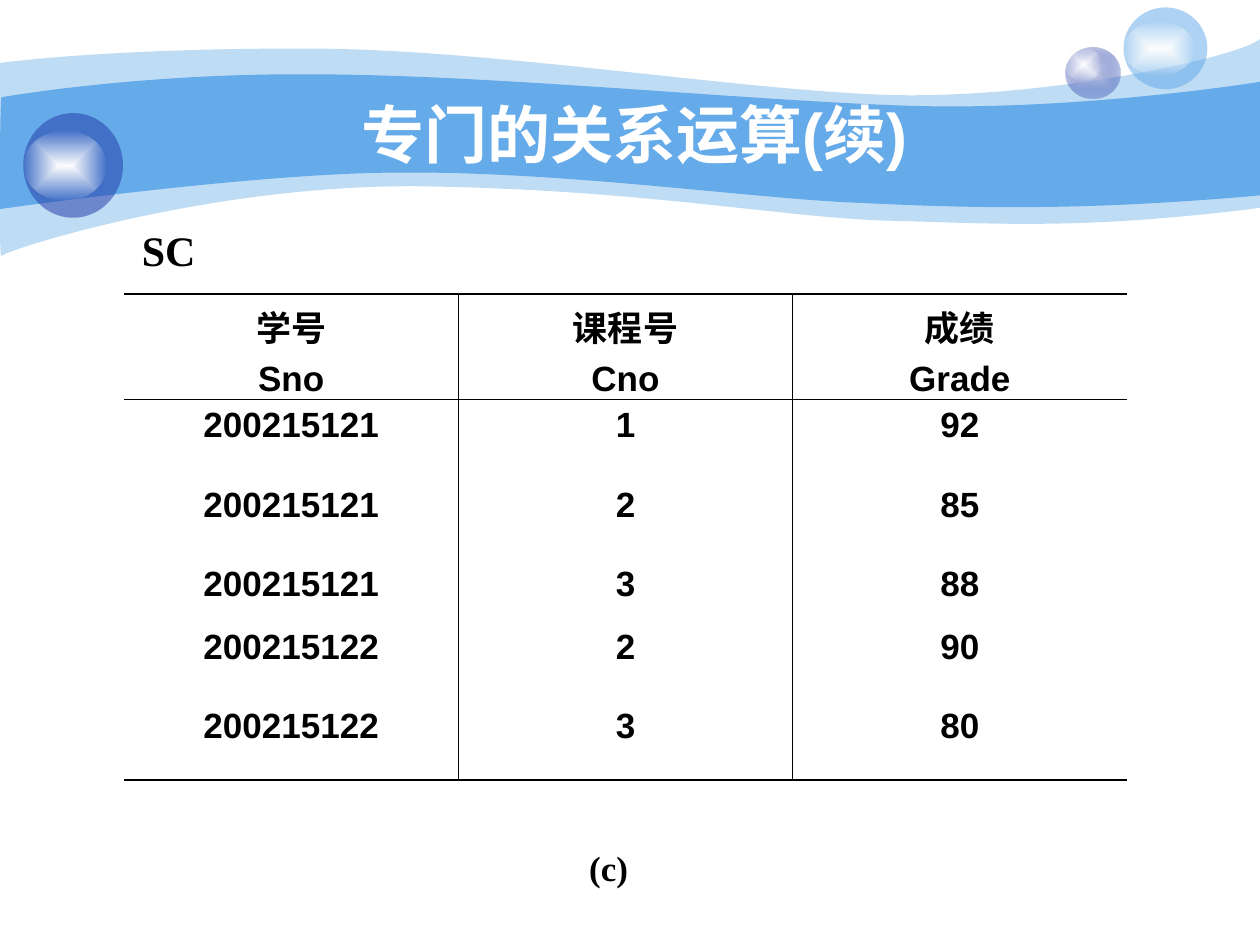
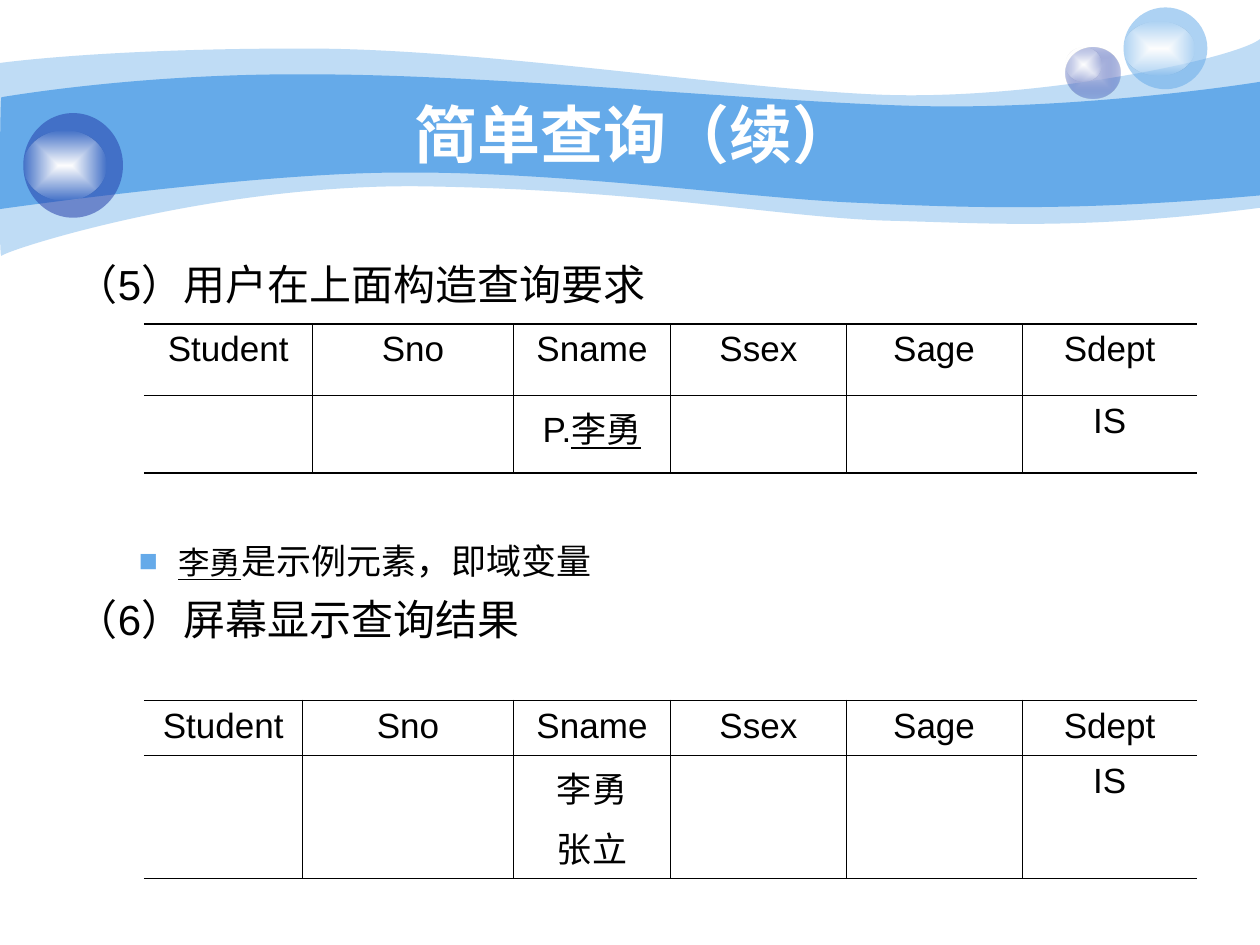
from pptx import Presentation
from pptx.dml.color import RGBColor
from pptx.enum import shapes, text
from pptx.oxml import parse_xml
from pptx.oxml.ns import nsdecls, qn
from pptx.util import Cm, Pt

SKY = RGBColor(0x65, 0xAA, 0xE9)
NAVY = RGBColor(0x23, 0x3D, 0xA9)
LILAC = RGBColor(0xC7, 0xCE, 0xE9)
WHITE = RGBColor(0xFF, 0xFF, 0xFF)
BLACK = RGBColor(0x00, 0x00, 0x00)

# Text between underscores is underlined.
COURSE_TITLE = "专门的关系运算(续)"
COURSE_LABELS = [  # text, size, place, anchor
    ("(c)", 20, (11.1, 16.94, 2.34, 1.96), text.MSO_ANCHOR.TOP),
    ("SC", 24, (1.9, 4.34, 3, 1.4), text.MSO_ANCHOR.MIDDLE),
]
COURSE_TABLE = {
    "place": (2.5, 5.93),
    "columns": [6.74] * 3,
    "rows": [2.13, 1.6, 1.6, 1.27, 1.6, 1.6],
    "cells": [
        ["学号\nSno", "课程号\nCno", "成绩\nGrade"],
        ["200215121", "1", "92"],
        ["200215121", "2", "85"],
        ["200215121", "3", "88"],
        ["200215122", "2", "90"],
        ["200215122", "3", "80"],
    ],
}

QUERY_TITLE = "简单查询（续）"
QUERY_STEPS = [  # text, size, space before, left margin, first-line indent, bullet
    ("（5）用户在上面构造查询要求", 24, 0, 0.97, -0.97, False),
    ("_李勇_是示例元素，即域变量", 20, 132, 2.06, -0.79, True),
    ("（6）屏幕显示查询结果", 24, 7, 0.97, -0.97, False),
]
STUDENT_HEADER = ["Student", "Sno", "Sname", "Ssex", "Sage", "Sdept"]
QUERY_TABLES = [
    {
        "place": (2.9, 6.53),
        "columns": [3.4, 4.05, 3.17, 3.54, 3.54, 3.54],
        "rows": [1.44, 1.56],
        "cells": [STUDENT_HEADER, ["", "", "P._李勇_", "", "", "IS"]],
    },
    {
        "place": (2.9, 14.12),
        "columns": [3.2, 4.25, 3.17, 3.54, 3.54, 3.54],
        "rows": [1.11, 2.48],
        "cells": [STUDENT_HEADER, ["", "", "李勇\n张立", "", "", "IS"]],
    },
]

# Each wave: opacity, start point, then edges of three points (curve) or one (line).
WAVES = [
    (41, (0, 1.27), [
        [(0.61, 1.19), (2.72, 0.97), (6.27, 0.98)],
        [(9.8, 0.99), (14.61, 1.78), (17.75, 1.91)],
        [(20.88, 2.03), (24.89, 1.19), (25.4, 0.79)],
        [(25.4, 4.19)],
        [(21.79, 4.65), (19.99, 4.5), (17.91, 4.45)],
        [(15.8, 4.39), (13.08, 3.84), (8.71, 3.76)],
        [(4.37, 3.66), (0.1, 5.05), (0.03, 5.16)],
        [(-0.03, 5.28), (0, 1.91), (0, 1.27)],
    ]),
    (100, (0.03, 1.96), [
        [(0.05, 1.96), (2.79, 1.47), (6.3, 1.5)],
        [(9.8, 1.5), (15.11, 2.03), (18.24, 2.13)],
        [(21.36, 2.24), (24.79, 1.75), (25.4, 1.65)],
        [(25.4, 3.94)],
        [(21.67, 4.27), (19.43, 4.19), (17.32, 4.09)],
        [(15.21, 4.01), (11.35, 3.45), (8.05, 3.48)],
        [(5.16, 3.48), (-0.05, 4.22), (-0.03, 4.22)],
        [(0, 4.22), (0, 1.96), (0.03, 1.96)],
    ]),
]
SHINE = [(WHITE, 100), (WHITE, 0)]
BUBBLES = [  # place, colours with opacity from centre to rim
    ((21.49, 0.95, 1.1, 1.04), [(LILAC, 100), (NAVY, 31)]),
    ((21.49, 0.95, 0.71, 0.69), SHINE),
    ((22.65, 0.15, 1.69, 1.65), [(SKY, 53)]),
    ((22.65, 0.43, 1.42, 1.09), SHINE),
    ((0.47, 2.28, 2.01, 2.11), [(NAVY, 53)]),
    ((0.47, 2.63, 1.68, 1.42), SHINE),
]
THICK, THIN = 1.08, 0.45


def lengths(values):
    return [Cm(value) for value in values]


def colour_xml(colour, opacity):
    alpha = f'<a:alpha val="{opacity * 1000}"/>' if opacity < 100 else ""
    return f'<a:srgbClr val="{colour}">{alpha}</a:srgbClr>'


def paint(shape, colours):
    """Fill without outline: one colour is solid, two run from centre to rim."""
    shape.shadow.inherit = False
    shape.line.fill.background()
    shape.fill.background()
    if len(colours) == 1:
        xml = f'<a:solidFill {nsdecls("a")}>{colour_xml(*colours[0])}</a:solidFill>'
    else:
        stops = "".join(
            f'<a:gs pos="{position}">{colour_xml(*colour)}</a:gs>'
            for position, colour in zip((0, 100000), colours)
        )
        xml = (
            f'<a:gradFill {nsdecls("a")} rotWithShape="1"><a:gsLst>{stops}</a:gsLst>'
            '<a:path path="rect"><a:fillToRect l="50000" t="50000" r="50000" b="50000"/>'
            "</a:path></a:gradFill>"
        )
    properties = shape.element.spPr
    properties.replace(properties.find(qn("a:noFill")), parse_xml(xml))


def add_wave(slide, opacity, start, edges):
    """Lay every point as a line, then join each three of a curve into one Bézier."""
    builder = slide.shapes.build_freeform(*lengths(start))
    builder.add_line_segments([lengths(point) for edge in edges for point in edge])
    shape = builder.convert_to_shape()
    lines = iter(shape.element.findall(".//" + qn("a:lnTo")))
    for edge in edges:
        first, *others = [next(lines) for point in edge]
        if others:
            first.tag = qn("a:cubicBezTo")
        for line in others:
            first.append(line[0])
            line.getparent().remove(line)
    paint(shape, [(SKY, opacity)])


def write(paragraph, marked, size, font="Arial", colour=BLACK, bold=False, underlined_size=None):
    for index, part in enumerate(marked.split("_")):
        if not part:
            continue
        underlined = index % 2 == 1
        run = paragraph.add_run()
        run.text = part
        run_size = underlined_size if underlined and underlined_size else size
        formats = {"size": Pt(run_size), "name": font, "bold": bold, "underline": underlined}
        for name, value in formats.items():
            setattr(run.font, name, value)
        run.font.color.rgb = colour


def add_box(slide, place, anchor=text.MSO_ANCHOR.TOP):
    frame = slide.shapes.add_textbox(*lengths(place)).text_frame
    frame.word_wrap = True
    frame.vertical_anchor = anchor
    return frame


def add_label(slide, content, size, place, anchor=text.MSO_ANCHOR.MIDDLE, **style):
    paragraph = add_box(slide, place, anchor).paragraphs[0]
    paragraph.alignment = text.PP_ALIGN.CENTER
    write(paragraph, content, size, bold=True, **style)


def add_titled_slide(presentation, title):
    slide = presentation.slides.add_slide(presentation.slide_layouts[6])
    for wave in WAVES:
        add_wave(slide, *wave)
    for place, colours in BUBBLES:
        paint(slide.shapes.add_shape(shapes.MSO_SHAPE.OVAL, *lengths(place)), colours)
    add_label(slide, title, 36, (2.54, 1.9, 20.52, 1.57), colour=WHITE)
    return slide


def set_borders(cell, widths):
    """Border widths in points by side; 0 leaves the side open."""
    properties = cell._tc.get_or_add_tcPr()
    for side in "LRTB":
        width = widths[side]
        fill = f"<a:solidFill>{colour_xml(BLACK, 100)}</a:solidFill>" if width else "<a:noFill/>"
        properties.append(parse_xml(
            f'<a:ln{side} {nsdecls("a")} w="{Pt(width)}">{fill}</a:ln{side}>'
        ))


def add_grid(slide, grid, bold=False):
    """Table open at both sides, with a rule under its header."""
    columns, rows = grid["columns"], grid["rows"]
    size = (sum(columns), sum(rows))
    table = slide.shapes.add_table(
        len(rows), len(columns), *lengths(grid["place"] + size)
    ).table
    table.first_row = table.horz_banding = False
    for column, width in zip(table.columns, columns):
        column.width = Cm(width)
    for row, height in zip(table.rows, rows):
        row.height = Cm(height)
    rules = [THICK, THIN] + [0] * (len(rows) - 2) + [THICK]
    dividers = [0] + [THIN] * (len(columns) - 1) + [0]
    for r, contents in enumerate(grid["cells"]):
        for c, content in enumerate(contents):
            cell = table.cell(r, c)
            set_borders(cell, {
                "L": dividers[c], "R": dividers[c + 1], "T": rules[r], "B": rules[r + 1],
            })
            cell.fill.background()
            for index, line in enumerate(content.split("\n")):
                frame = cell.text_frame
                paragraph = frame.add_paragraph() if index else frame.paragraphs[0]
                paragraph.alignment = text.PP_ALIGN.CENTER
                paragraph.space_before = Pt(5 if index else 0)
                write(paragraph, line, 20, bold=bold)


def add_steps(slide):
    frame = add_box(slide, (1.28, 5.08, 22.83, 12.5))
    for index, (content, size, gap, margin, indent, bullet) in enumerate(QUERY_STEPS):
        paragraph = frame.add_paragraph() if index else frame.paragraphs[0]
        properties = paragraph._p.get_or_add_pPr()
        properties.set("marL", str(Cm(margin)))
        properties.set("indent", str(Cm(indent)))
        if bullet:
            for xml in (
                f'<a:buClr {nsdecls("a")}><a:srgbClr val="{SKY}"/></a:buClr>',
                f'<a:buFont {nsdecls("a")} typeface="Arial"/>',
                f'<a:buChar {nsdecls("a")} char="■"/>',
            ):
                properties.append(parse_xml(xml))
        paragraph.space_before = Pt(gap)
        write(paragraph, content, size, underlined_size=18)


def main():
    presentation = Presentation()
    presentation.slide_width, presentation.slide_height = Cm(25.4), Cm(19.05)

    slide = add_titled_slide(presentation, COURSE_TITLE)
    for label in COURSE_LABELS:
        add_label(slide, *label, font="Times New Roman")
    add_grid(slide, COURSE_TABLE, bold=True)

    slide = add_titled_slide(presentation, QUERY_TITLE)
    add_steps(slide)
    for grid in QUERY_TABLES:
        add_grid(slide, grid)

    presentation.save("out.pptx")


if __name__ == "__main__":
    main()
